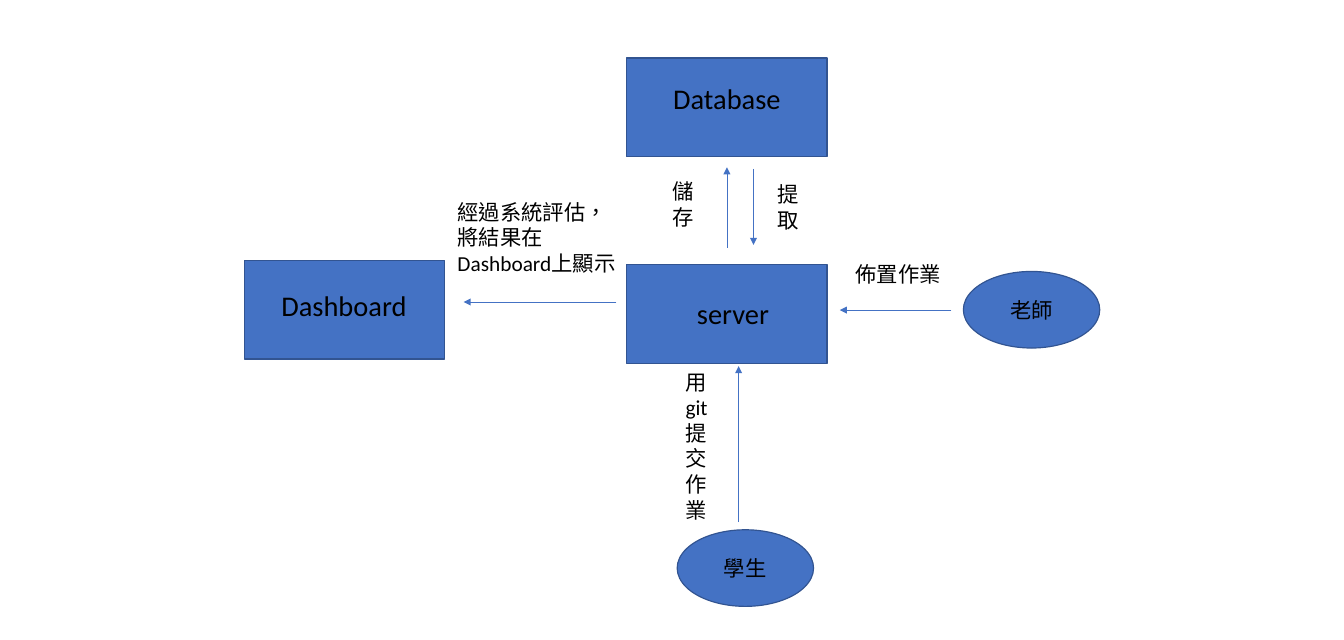
from lxml.etree import SubElement
from pptx import Presentation
from pptx.dml.color import RGBColor
from pptx.enum.lang import MSO_LANGUAGE_ID as Language
from pptx.enum.shapes import MSO_CONNECTOR as Connector, MSO_SHAPE as Preset
from pptx.enum.text import MSO_AUTO_SIZE as AutoSize, PP_ALIGN as Align
from pptx.oxml.ns import qn
from pptx.util import Cm, Pt

COLORS = {"fill": "4472C4", "outline": "325491", "arrow": "4472C4", "text": "000000"}
BOX_SIZE = (5.97, 2.94)
ACTOR_SIZE = (4.06, 2.28)
TITLE = {"size": Pt(24), "name": "Calibri"}
LABEL = {"size": Pt(18), "name": "Calibri", "language_id": Language.TRADITIONAL_CHINESE}

presentation = Presentation()
presentation.slide_width = Cm(40.01)
presentation.slide_height = Cm(19.05)
slide = presentation.slides.add_slide(presentation.slide_layouts[6])

nodes = [
    (Preset.RECTANGLE, 18.65, 1.73, BOX_SIZE),
    (Preset.RECTANGLE, 7.27, 7.75, BOX_SIZE),
    (Preset.RECTANGLE, 18.65, 7.87, BOX_SIZE),
    (Preset.OVAL, 20.16, 15.77, ACTOR_SIZE),
    (Preset.OVAL, 28.68, 8.08, ACTOR_SIZE),
]
for preset, left, top, (width, height) in nodes:
    shape = slide.shapes.add_shape(preset, Cm(left), Cm(top), Cm(width), Cm(height))
    shape.shadow.inherit = False
    shape.fill.solid()
    shape.fill.fore_color.rgb = RGBColor.from_string(COLORS["fill"])
    shape.line.color.rgb = RGBColor.from_string(COLORS["outline"])
    shape.line.width = Pt(1)

arrows = [
    (21.99, 15.54, 21.99, 10.9),
    (28.32, 9.23, 25, 9.23),
    (21.64, 7.37, 21.64, 4.98),
    (22.43, 5.03, 22.43, 7.29),
    (18.35, 8.99, 13.8, 8.99),
]
for ends in arrows:
    connector = slide.shapes.add_connector(Connector.STRAIGHT, *map(Cm, ends))
    connector.line.color.rgb = RGBColor.from_string(COLORS["arrow"])
    connector.line.width = Pt(0.5)
    SubElement(connector.line._get_or_add_ln(), qn("a:tailEnd"), type="triangle")
    SubElement(connector._element.spPr, qn("a:effectLst"))

texts = [
    ("Database", 19.38, 2.29, 4.52, 1.27, TITLE, Align.CENTER),
    ("Dashboard", 7.98, 8.46, 4.52, 2.31, TITLE, Align.CENTER),
    ("server", 19.56, 8.69, 4.52, 1.27, TITLE, Align.CENTER),
    ("學生", 20.79, 16.4, 2.79, 1.02, LABEL, Align.CENTER),
    ("老師", 29.31, 8.71, 2.79, 1.02, LABEL, Align.CENTER),
    ("用git提交作業", 20.16, 10.85, 1.65, 4.88, LABEL, Align.LEFT),
    ("經過系統評估，\n將結果在Dashboard上顯示", 13.37, 5.79, 5.23, 3.33, LABEL, Align.LEFT),
    ("儲存", 19.77, 5.18, 1.02, 1.8, LABEL, Align.LEFT),
    ("提取", 22.89, 5.28, 1.02, 1.8, LABEL, Align.LEFT),
    ("佈置作業", 25.22, 7.65, 3.51, 1.02, LABEL, Align.LEFT),
]
for text, left, top, width, height, font_format, alignment in texts:
    text_box = slide.shapes.add_textbox(Cm(left), Cm(top), Cm(width), Cm(height))
    frame = text_box.text_frame
    frame.word_wrap = True
    frame.auto_size = AutoSize.SHAPE_TO_FIT_TEXT
    frame.text = text
    for paragraph in frame.paragraphs:
        paragraph.alignment = alignment
        font = paragraph.runs[0].font
        font.color.rgb = RGBColor.from_string(COLORS["text"])
        for attribute, value in font_format.items():
            setattr(font, attribute, value)

presentation.save("out.pptx")
